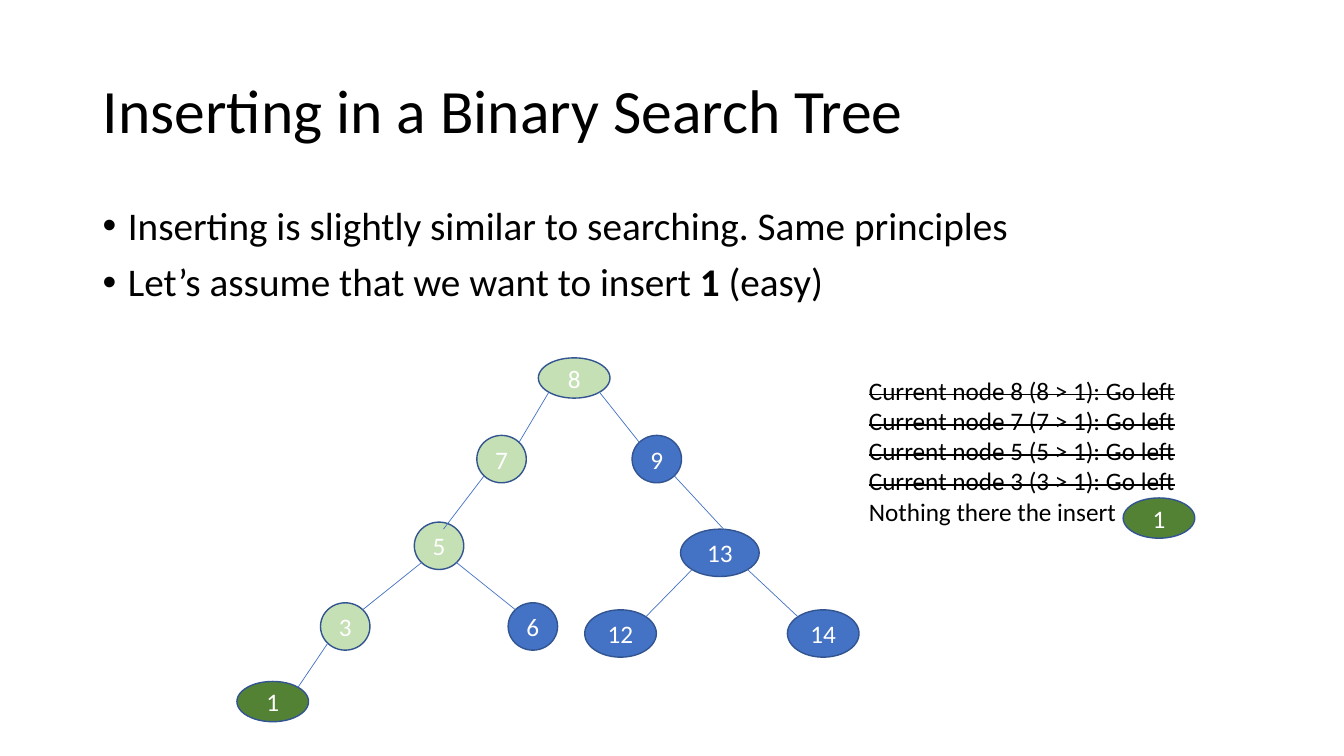
from dataclasses import dataclass
from math import sqrt

from lxml.etree import SubElement
from pptx import Presentation
from pptx.dml.color import RGBColor
from pptx.enum.shapes import MSO_CONNECTOR, MSO_SHAPE
from pptx.enum.text import MSO_ANCHOR, MSO_AUTO_SIZE, PP_ALIGN
from pptx.oxml.ns import qn
from pptx.util import Inches, Pt


@dataclass(frozen=True)
class Theme:
    font: str = "Calibri"
    title_size: int = 44
    body_size: int = 28
    small_size: int = 18
    text: str = "000000"
    node_text: str = "FFFFFF"
    plain: str = "4472C4"
    visited: str = "C5E0B4"
    inserted: str = "548235"
    outline: str = "325491"


THEME = Theme()
WIDTH, HEIGHT = Inches(13.33), Inches(7.5)

# All positions and sizes are percentages of the slide's width and height.
TITLE_AREA = (6.9, 5.33, 86.27, 19.33)
BODY_AREA = (6.9, 26.67, 86.27, 63.47)
STEPS_AREA = (63.91, 48.93, 26.86, 21.6)

ROUND, FLAT, WIDE, WIDEST = (3.68, 6.27), (5.33, 5.33), (5.33, 6.27), (5.85, 6.27)
DIAGONAL = sqrt(0.5)

# value: (centre, size, colour)
NODES = {
    8: ((42.72, 50), FLAT, THEME.visited),
    7: ((37.32, 60.73), ROUND, THEME.visited),
    9: ((48.87, 60.73), ROUND, THEME.plain),
    5: ((32.67, 72.2), ROUND, THEME.visited),
    13: ((53.56, 73.13), WIDEST, THEME.plain),
    3: ((25.69, 82.87), ROUND, THEME.visited),
    6: ((39.65, 82.87), ROUND, THEME.plain),
    12: ((46.17, 83.8), WIDE, THEME.plain),
    14: ((61.25, 83.8), WIDE, THEME.plain),
    1: ((20.29, 92.8), FLAT, THEME.inserted),
}
EDGES = [(8, 7), (8, 9), (7, 5), (9, 13), (5, 3), (5, 6), (13, 12), (13, 14), (3, 1)]
# Edges that meet the child near its top, as a share of its half width
LANDINGS = {5: 0.18, 13: 0.26}
NEW_NODE_CENTRE = (86.23, 68.53)

BULLETS = [
    [("Inserting is slightly similar to searching. Same principles", False)],
    [("Let’s assume that we want to insert ", False), ("1 ", True), ("(easy)", False)],
]
VISITED_PATH = (8, 7, 5, 3)


def across(share):
    return round(WIDTH * share / 100)


def down(share):
    return round(HEIGHT * share / 100)


def area(left, top, width, height):
    return across(left), down(top), across(width), down(height)


def style(font, size, color):
    font.name = THEME.font
    font.size = Pt(size)
    font.color.rgb = RGBColor.from_string(color)


def add_title(page, text):
    title = page.shapes.title
    title.left, title.top, title.width, title.height = area(*TITLE_AREA)
    frame = title.text_frame
    frame.auto_size = MSO_AUTO_SIZE.NONE
    frame.vertical_anchor = MSO_ANCHOR.MIDDLE
    frame.text = text
    para = frame.paragraphs[0]
    para.alignment = PP_ALIGN.LEFT
    para.line_spacing = 0.9
    style(para.font, THEME.title_size, THEME.text)


def add_text_box(page, place):
    frame = page.shapes.add_textbox(*area(*place)).text_frame
    frame.word_wrap = True
    return frame


def next_paragraph(frame, index):
    return frame.paragraphs[0] if index == 0 else frame.add_paragraph()


def add_bullets(page):
    frame = add_text_box(page, BODY_AREA)
    for index, pieces in enumerate(BULLETS):
        para = next_paragraph(frame, index)
        para.line_spacing = 0.9
        if index:
            para.space_before = Pt(10)
        properties = para._p.get_or_add_pPr()
        properties.set("marL", str(Inches(0.25)))
        properties.set("indent", str(-Inches(0.25)))
        SubElement(properties, qn("a:buFont"), typeface="Arial")
        SubElement(properties, qn("a:buChar"), char="•")
        style(para.font, THEME.body_size, THEME.text)
        for text, bold in pieces:
            span = para.add_run()
            span.text = text
            if bold:
                span.font.bold = True


def add_steps(page):
    """List the comparisons, struck out once done, and the final insertion."""
    frame = add_text_box(page, STEPS_AREA)
    steps = [(f"Current node {value} ({value} > 1): Go left", True) for value in VISITED_PATH]
    steps.append(("Nothing there the insert", False))
    for index, (text, done) in enumerate(steps):
        para = next_paragraph(frame, index)
        style(para.font, THEME.small_size, THEME.text)
        span = para.add_run()
        span.text = text
        if done:
            span._r.get_or_add_rPr().set("strike", "sngStrike")


def add_node(page, value, centre, size, color):
    (x, y), (width, height) = centre, size
    place = area(x - width / 2, y - height / 2, width, height)
    node = page.shapes.add_shape(MSO_SHAPE.OVAL, *place)
    node.shadow.inherit = False
    node.fill.solid()
    node.fill.fore_color.rgb = RGBColor.from_string(color)
    node.line.color.rgb = RGBColor.from_string(THEME.outline)
    node.line.width = Pt(1)
    frame = node.text_frame
    frame.vertical_anchor = MSO_ANCHOR.MIDDLE
    frame.text = str(value)
    para = frame.paragraphs[0]
    para.alignment = PP_ALIGN.CENTER
    style(para.font, THEME.small_size, THEME.node_text)


def rim_point(value, horizontal, vertical):
    """Return the point at these shares of the node's half width and height."""
    (x, y), (width, height), _ = NODES[value]
    return across(x + horizontal * width / 2), down(y + vertical * height / 2)


def add_edge(page, parent, child):
    side = -1 if child < parent else 1
    landing = LANDINGS.get(child, -side * DIAGONAL)
    start = rim_point(parent, side * DIAGONAL, DIAGONAL)
    end = rim_point(child, landing, -DIAGONAL)
    edge = page.shapes.add_connector(MSO_CONNECTOR.STRAIGHT, *start, *end)
    edge.line.color.rgb = RGBColor.from_string(THEME.plain)
    edge.line.width = Pt(0.5)
    SubElement(edge._element.spPr, qn("a:effectLst"))


def main():
    deck = Presentation()
    deck.slide_width, deck.slide_height = WIDTH, HEIGHT
    page = deck.slides.add_slide(deck.slide_layouts.get_by_name("Title Only"))
    add_title(page, "Inserting in a Binary Search Tree")
    add_bullets(page)
    for value, (centre, size, color) in NODES.items():
        add_node(page, value, centre, size, color)
    for parent, child in EDGES:
        add_edge(page, parent, child)
    add_steps(page)
    add_node(page, 1, NEW_NODE_CENTRE, FLAT, THEME.inserted)
    deck.save("out.pptx")


if __name__ == "__main__":
    main()
